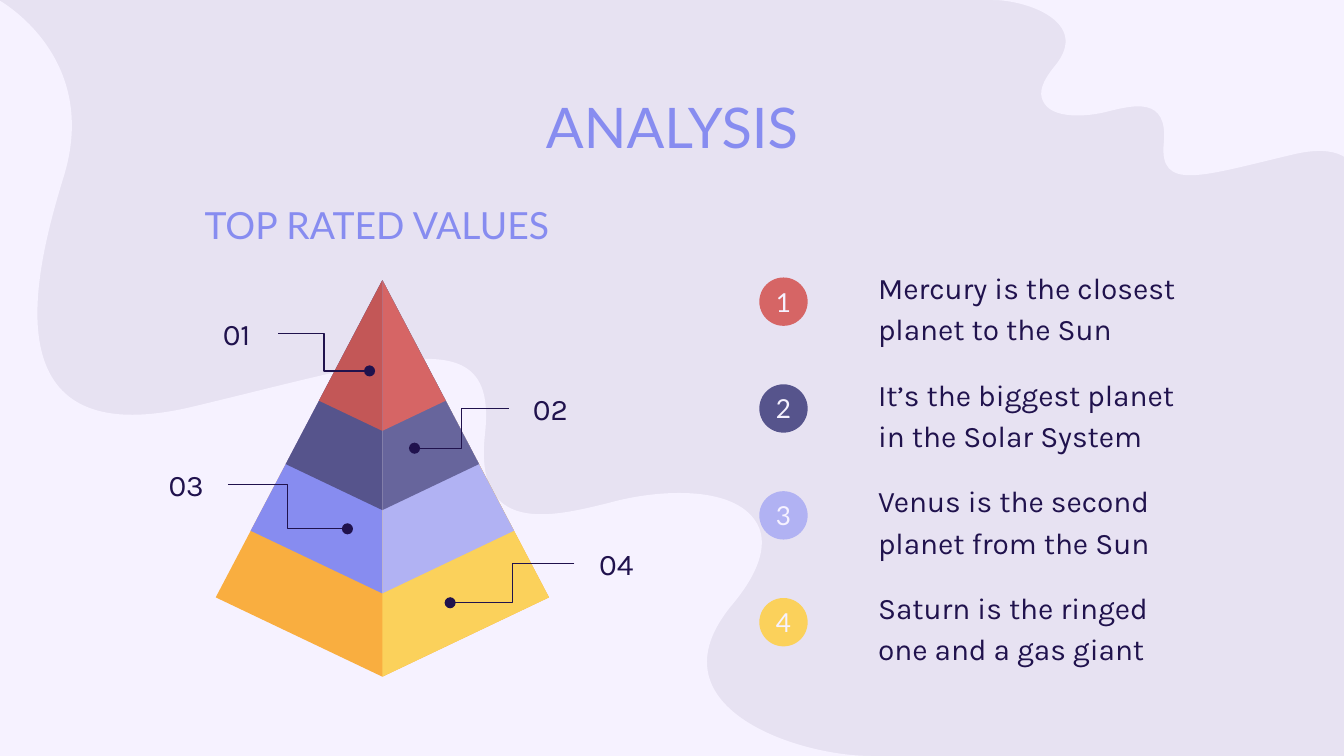
from collections import namedtuple
from dataclasses import dataclass

from lxml import etree
from pptx import Presentation
from pptx import util as u
from pptx.dml.color import RGBColor
from pptx.enum import shapes, text
from pptx.oxml.ns import qn

COLS, ROWS = 100, 56.25
CELL = u.Inches(0.1)
Box = namedtuple("Box", "x y w h")


@dataclass(frozen=True)
class Theme:
    back: str = "E7E2F2"
    pale: str = "F6F2FF"
    accent: str = "878CF0"
    ink: str = "20124D"
    left: tuple = ("C35757", "56548C", "878CF0", "F9AE40")
    right: tuple = ("D66565", "67659C", "B1B2F3", "FBD15B")
    badge: tuple = ("D66565", "56548C", "B1B2F3", "FBD15B")
    head: str = "Lato"
    body: str = "Karla"
    title: int = 30
    subtitle: int = 20
    text: int = 16
    number: int = 14


T = Theme()


def emu(*cells):
    return [round(c * CELL) for c in cells]


def paint(sp, color):
    sp.shadow.inherit = False
    sp.fill.solid()
    sp.fill.fore_color.rgb = RGBColor.from_string(color)
    sp.line.fill.background()


def write(sp, words, font, size, color, align=text.PP_ALIGN.CENTER,
          anchor=text.MSO_ANCHOR.MIDDLE, inset=CELL):
    tf = sp.text_frame
    tf.word_wrap = True
    tf.auto_size = text.MSO_AUTO_SIZE.NONE
    tf.vertical_anchor = anchor
    tf.margin_left = tf.margin_right = tf.margin_top = tf.margin_bottom = inset
    p = tf.paragraphs[0]
    p.alignment = align
    r = p.add_run()
    r.text = words
    r.font.name, r.font.size = font, u.Pt(size)
    r.font.color.rgb = RGBColor.from_string(color)
    return p


def outline(parent, points, color):
    pts = [emu(*pt) for pt in points]
    fb = parent.build_freeform(*pts[0], scale=1.0)
    fb.add_line_segments(pts[1:], close=True)
    sp = fb.convert_to_shape()
    paint(sp, color)
    return sp


def bend(lines):
    first = lines[0]
    curve = etree.Element(qn("a:cubicBezTo"))
    first.addprevious(curve)
    for line in lines:
        curve.append(line[0])
        line.getparent().remove(line)


def blob(s, box, start, curves, corners, closing):
    pts = [start, *(pt for curve in curves for pt in curve), *corners, *closing]
    sp = outline(s.shapes, [(box.x + x, box.y + y) for x, y in pts], T.pale)
    lines = list(sp._element.iter(qn("a:lnTo")))
    for i in range(len(curves)):
        bend(lines[3 * i:3 * i + 3])
    bend(lines[-3:])


def backdrop(s, box):
    s.background.fill.solid()
    s.background.fill.fore_color.rgb = RGBColor.from_string(T.back)
    blob(s, box, (100.4, 18.9), [
        ((101.4, 15.9), (102.9, 9.9), (96.2, 11.5)),
        ((89.4, 13.1), (86.2, 14.3), (86.6, 10.6)),
        ((86.9, 7.2), (84.4, 7.8), (82.4, 8.3)),
        ((80.9, 8.7), (78.2, 8.9), (77.6, 7.5)),
        ((77.3, 6.9), (77.5, 6.1), (78.5, 4.9)),
        ((81.2, 1.6), (76.3, 0), (73.9, 0)),
    ], [(102.5, 0), (102.5, 24.8)], ((102.5, 24.8), (99.2, 23), (100.4, 18.9)))
    blob(s, box, (4.7, 13.3), [
        ((2.6, 20.2), (-0.9, 33.8), (14.2, 30.3)),
        ((29.7, 26.6), (37, 23.8), (36.1, 32.2)),
        ((35.2, 39.9), (41, 38.5), (45.4, 37.4)),
        ((49, 36.4), (55.1, 36), (56.5, 39.3)),
        ((57, 40.6), (56.6, 42.5), (54.4, 45.1)),
        ((48.3, 52.6), (59.3, box.h), (64.8, box.h)),
    ], [(-0.1, box.h), (-0.1, 0)], ((-0.1, 0), (7.6, 4.2), (4.7, 13.3)))


def title(s, box):
    sp = s.shapes.title
    sp.left, sp.top, sp.width, sp.height = emu(*box)
    write(sp, "ANALYSIS", T.head, T.title, T.accent, anchor=text.MSO_ANCHOR.TOP)


def label(s, box, words, font, size, color, **place):
    sp = s.shapes.add_textbox(*emu(*box))
    return write(sp, words, font, size, color, **place)


def pyramid(s, box):
    tiers = (0.38, 0.58, 0.79, 1)
    group = s.shapes.add_group_shape().shapes
    mid, half = box.x + box.w / 2, box.w / 2
    for side, colors in ((-1, T.left), (1, T.right)):
        for k, color in reversed(list(zip(tiers, colors))):
            apex = (mid, box.y)
            foot = (mid, box.y + box.h * k)
            edge = box.y + 0.8 * box.h * k
            pts = [apex, (mid + half * k, edge), foot]
            if side < 0:
                pts.append((mid - half * k, edge))
            outline(group, pts, color)


def callout(s, box, words, dx, dy):
    label(s, box, words, T.body, T.text, T.ink)
    x = box.x + (box.w if dx > 0 else 0)
    y = box.y + box.h / 2
    c = s.shapes.add_connector(shapes.MSO_CONNECTOR.ELBOW, *emu(x, y, x + dx, y + dy))
    c.line.width = u.Pt(0.75)
    c.line.color.rgb = RGBColor.from_string(T.ink)
    pr = c._element.spPr
    etree.SubElement(pr.find(qn("a:ln")), qn("a:tailEnd"), type="oval")
    etree.SubElement(pr, qn("a:effectLst"))


def diagram(s, box):
    label(s, Box(box.x + 2.1, box.y, 31.1, 3.9), "TOP RATED VALUES ",
          T.head, T.subtitle, T.accent)
    pyramid(s, Box(box.x + 5.3, box.y + 6.1, 24.8, 29.5))
    for words, x, y, dx, dy in (("01", 3.75, 8.1, 6.8, 2.8), ("02", 27.1, 13.7, -7, 2.95),
                                ("03", 0, 19.35, 8.9, 3.3), ("04", 32, 25.25, -9.25, 2.9)):
        callout(s, Box(box.x + x, box.y + y, 6.2, 3.9), words, dx, dy)


def facts(s, box):
    items = ("Mercury is the closest planet to the Sun",
             "It’s the biggest planet in the Solar System",
             "Venus is the second planet from the Sun",
             "Saturn is the ringed one and a gas giant")
    pitch, indent = box.h / len(items), 7.85
    for i, (words, color) in enumerate(zip(items, T.badge)):
        y = box.y + i * pitch
        sp = s.shapes.add_shape(shapes.MSO_SHAPE.OVAL, *emu(box.x, y + 2, 3.6, 3.6))
        paint(sp, color)
        write(sp, str(i + 1), T.head, T.number, T.pale, inset=0)
        p = label(s, Box(box.x + indent, y, box.w - indent, 7.7), words, T.body, T.text,
                  T.ink, align=text.PP_ALIGN.LEFT, anchor=text.MSO_ANCHOR.TOP)
        p.line_spacing = 1.15
        p.space_after = u.Pt(16)


def main():
    prs = Presentation()
    prs.slide_width, prs.slide_height = emu(COLS, ROWS)
    s = prs.slides.add_slide(prs.slide_layouts[5])
    backdrop(s, Box(0, 0, COLS, ROWS))
    title(s, Box(7.85, 5.9, 84.3, 6.3))
    diagram(s, Box(10.75, 14.75, 38.2, 35.6))
    facts(s, Box(56.5, 18.65, 32.75, 31.8))
    prs.save("out.pptx")


if __name__ == "__main__":
    main()
